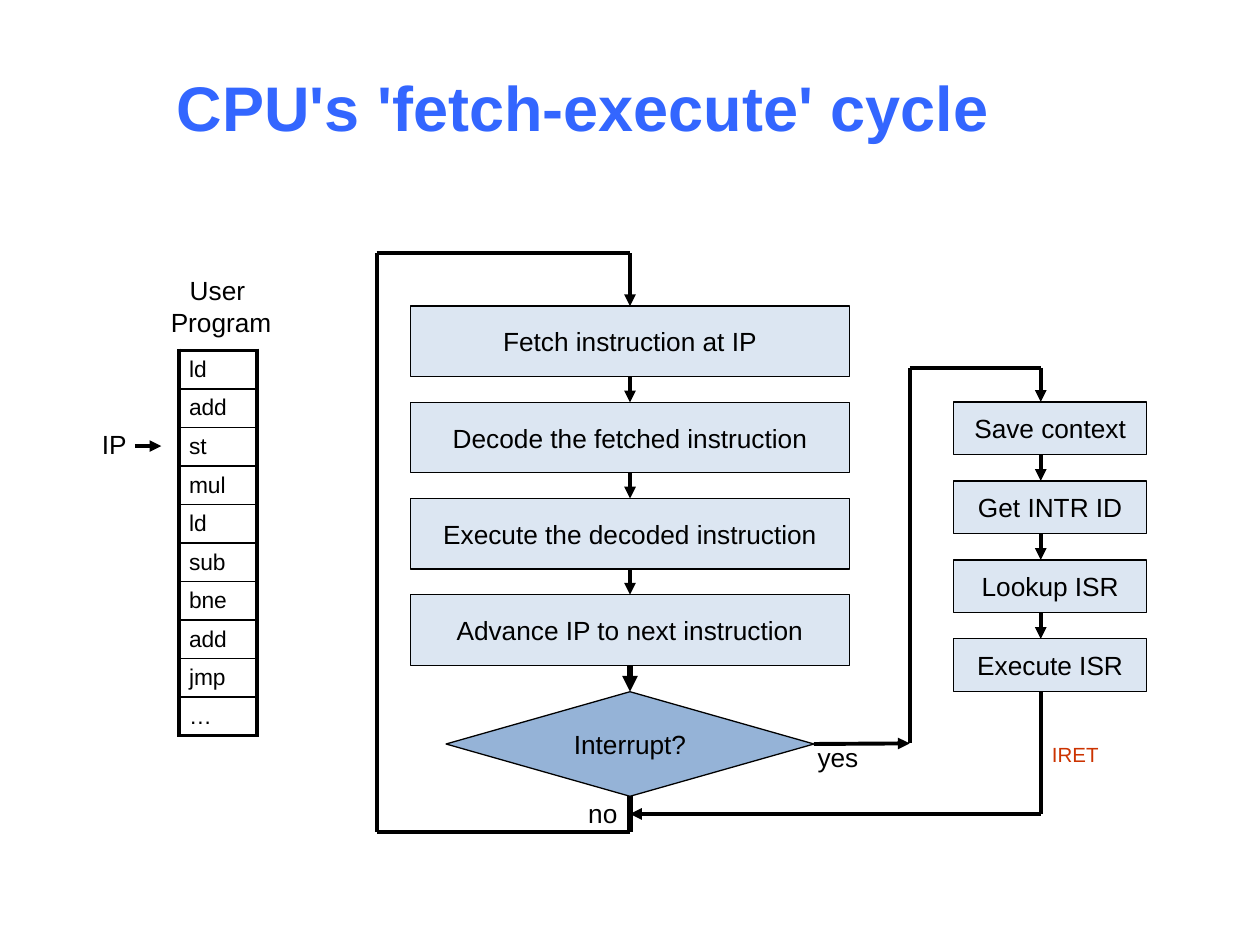
from dataclasses import dataclass
from itertools import pairwise

from lxml.etree import SubElement
from pptx import Presentation
from pptx.dml.color import RGBColor
from pptx.enum.shapes import MSO_CONNECTOR as Connector, MSO_SHAPE as Shape
from pptx.enum.text import MSO_ANCHOR as Anchor, MSO_AUTO_SIZE as AutoSize, PP_ALIGN as Align
from pptx.oxml.ns import qn
from pptx.util import Inches, Pt

TOP, LEFT, BOTTOM, RIGHT = range(4)


@dataclass(frozen=True)
class Theme:
    font: str = "Arial"
    ink: str = "000000"
    title: str = "3366FF"
    step: str = "DCE6F2"
    decision: str = "95B3D7"
    accent: str = "CC3300"
    title_size: float = 36
    body_size: float = 15
    code_size: float = 13
    note_size: float = 11.7
    outline: float = 0.75
    flow: float = 2.25
    heavy: float = 3
    grid: float = 1


def write(frame, text, theme, size=None, color=None, bold=False, align=Align.LEFT,
          anchor=Anchor.TOP, wrap=False):
    frame.word_wrap = wrap
    frame.vertical_anchor = anchor
    frame.text = text
    for paragraph in frame.paragraphs:
        paragraph.alignment = align
        font = paragraph.font
        font.name = theme.font
        font.size = Pt(size or theme.body_size)
        font.bold = bold
        font.color.rgb = RGBColor.from_string(color or theme.ink)


class FlowSlide:
    def __init__(self, slide, theme):
        self.slide = slide
        self.theme = theme

    def label(self, text, left, top, width, height, grow=True, **style):
        box = self.slide.shapes.add_textbox(*map(Inches, (left, top, width, height)))
        write(box.text_frame, text, self.theme, **style)
        box.text_frame.auto_size = AutoSize.SHAPE_TO_FIT_TEXT if grow else AutoSize.NONE

    def node(self, text, left, top, width, height, kind=Shape.RECTANGLE, fill=None):
        node = self.slide.shapes.add_shape(kind, *map(Inches, (left, top, width, height)))
        node.shadow.inherit = False
        node.fill.solid()
        node.fill.fore_color.rgb = RGBColor.from_string(fill or self.theme.step)
        node.line.color.rgb = RGBColor.from_string(self.theme.ink)
        node.line.width = Pt(self.theme.outline)
        write(node.text_frame, text, self.theme, align=Align.CENTER, anchor=Anchor.MIDDLE)
        return node

    def column(self, texts, left, first_top, last_top, width, height):
        """Stack nodes at equal gaps between the first and last top edges."""
        pitch = (last_top - first_top) / (len(texts) - 1)
        return [self.node(text, left, first_top + i * pitch, width, height)
                for i, text in enumerate(texts)]

    def link(self, start, end, arrow=True, weight=None):
        """Draw a line; each end is an (x, y) in inches or a (node, side) pair."""
        points = [(0, 0) if hasattr(at[0], "shape_type") else tuple(map(Inches, at))
                  for at in (start, end)]
        line = self.slide.shapes.add_connector(Connector.STRAIGHT, *points[0], *points[1])
        for at, join in ((start, line.begin_connect), (end, line.end_connect)):
            if hasattr(at[0], "shape_type"):
                join(*at)
        line.line.color.rgb = RGBColor.from_string(self.theme.ink)
        line.line.width = Pt(weight or self.theme.flow)
        properties = line._element.spPr
        if arrow:
            SubElement(properties.find(qn("a:ln")), qn("a:tailEnd"), type="triangle")
        SubElement(properties, qn("a:effectLst"))

    def route(self, *stops):
        """Link the stops in turn, with an arrowhead at the last one."""
        for start, end in pairwise(stops):
            self.link(start, end, arrow=end is stops[-1])

    def listing(self, rows, left, top, width, height):
        frame = self.slide.shapes.add_table(
            len(rows), 1, *map(Inches, (left, top, width, height)))
        table = frame.table
        table.first_row = table.horz_banding = False
        for i, text in enumerate(rows):
            cell = table.cell(i, 0)
            self.borders(cell, first=i == 0, last=i == len(rows) - 1)
            cell.fill.background()
            cell.margin_left = cell.margin_right = Inches(0.08)
            cell.margin_top = cell.margin_bottom = Inches(0.04)
            write(cell.text_frame, text, self.theme, size=self.theme.code_size, wrap=True)
            cell.vertical_anchor = Anchor.MIDDLE

    def borders(self, cell, first, last):
        thick, thin = self.theme.flow, self.theme.grid
        weights = {"L": thick, "R": thick,
                   "T": thick if first else thin, "B": thick if last else thin}
        properties = cell._tc.get_or_add_tcPr()
        for side, weight in weights.items():
            edge = SubElement(properties, qn(f"a:ln{side}"), w=str(Pt(weight)))
            SubElement(SubElement(edge, qn("a:solidFill")), qn("a:srgbClr"),
                       val=self.theme.ink)


def main():
    theme = Theme()
    deck = Presentation()
    deck.slide_width, deck.slide_height = Inches(10), Inches(7.5)
    flow = FlowSlide(deck.slides.add_slide(deck.slide_layouts[6]), theme)

    flow.label("CPU's 'fetch-execute' cycle", 0.5, 0.13, 8.25, 1.42, grow=False,
               size=theme.title_size, color=theme.title, bold=True,
               align=Align.CENTER, anchor=Anchor.MIDDLE, wrap=True)

    # User program
    flow.label("User \nProgram", 1.22, 2.13, 1.07, 0.61, align=Align.CENTER, wrap=True)
    flow.listing(["ld", "add", "st", "mul", "ld", "sub", "bne", "add", "jmp", "…"],
                 1.42, 2.78, 0.62, 3.06)
    flow.label("IP", 0.71, 3.35, 0.4, 0.35)
    flow.link((1.07, 3.54), (1.28, 3.54))

    # Instruction cycle
    cycle = flow.column(
        ["Fetch instruction at IP", "Decode the fetched instruction",
         "Execute the decoded instruction", "Advance IP to next instruction"],
        3.26, 2.43, 4.72, 3.48, 0.56)
    interrupt = flow.node("Interrupt?", 3.54, 5.49, 2.92, 0.83,
                          kind=Shape.DIAMOND, fill=theme.decision)
    for upper, lower in pairwise(cycle):
        flow.link((upper, BOTTOM), (lower, TOP))
    flow.link((cycle[-1], BOTTOM), (interrupt, TOP), weight=theme.heavy)

    # No interrupt: back to fetch
    cycle_x, loop_x, loop_top, loop_bottom = 5, 2.99, 2.01, 6.6
    flow.link((interrupt, BOTTOM), (cycle_x, loop_bottom), arrow=False, weight=theme.heavy)
    flow.route((cycle_x, loop_bottom), (loop_x, loop_bottom), (loop_x, loop_top),
               (cycle_x, loop_top), (cycle[0], TOP))
    flow.label("no", 4.57, 6.28, 0.45, 0.35)

    # Interrupt handling
    handler_top, handler_last, handler_height = 3.19, 5.07, 0.42
    handler = ["Save context", "Get INTR ID", "Lookup ISR", "Execute ISR"]
    flow.column(handler, 7.57, handler_top, handler_last, 1.53, handler_height)
    handler_x, branch_x, branch_y, branch_top, return_y = 8.26, 7.22, 5.9, 2.92, 6.46
    pitch = (handler_last - handler_top) / (len(handler) - 1)
    for i in range(len(handler) - 1):
        top = handler_top + i * pitch
        flow.link((handler_x, top + handler_height), (handler_x, top + pitch))
    flow.link((interrupt, RIGHT), (branch_x, branch_y))
    flow.label("yes", 6.39, 5.83, 0.53, 0.35)
    flow.route((branch_x, branch_y), (branch_x, branch_top),
               (handler_x, branch_top), (handler_x, handler_top))
    flow.route((handler_x, handler_last + handler_height), (handler_x, return_y),
               (cycle_x, return_y))
    flow.label("IRET", 8.25, 5.84, 0.57, 0.3, size=theme.note_size, color=theme.accent)

    deck.save("out.pptx")


if __name__ == "__main__":
    main()
